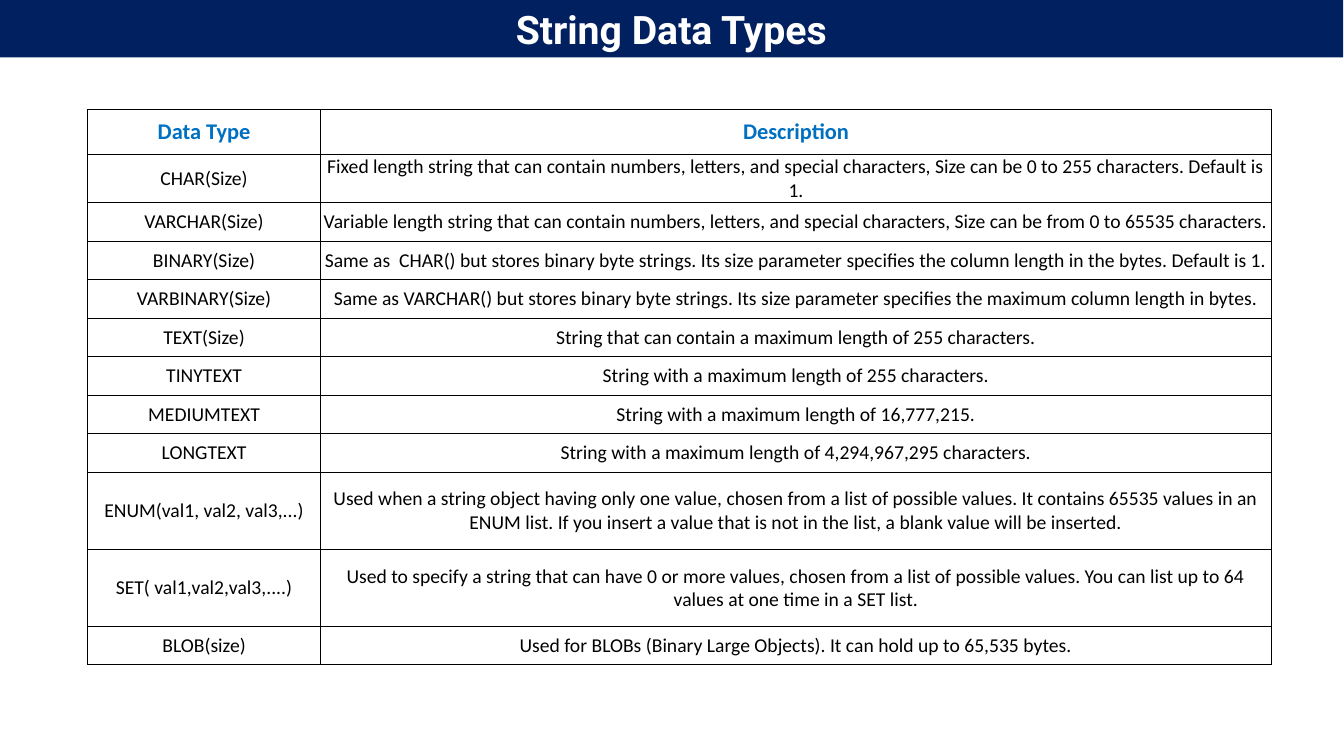
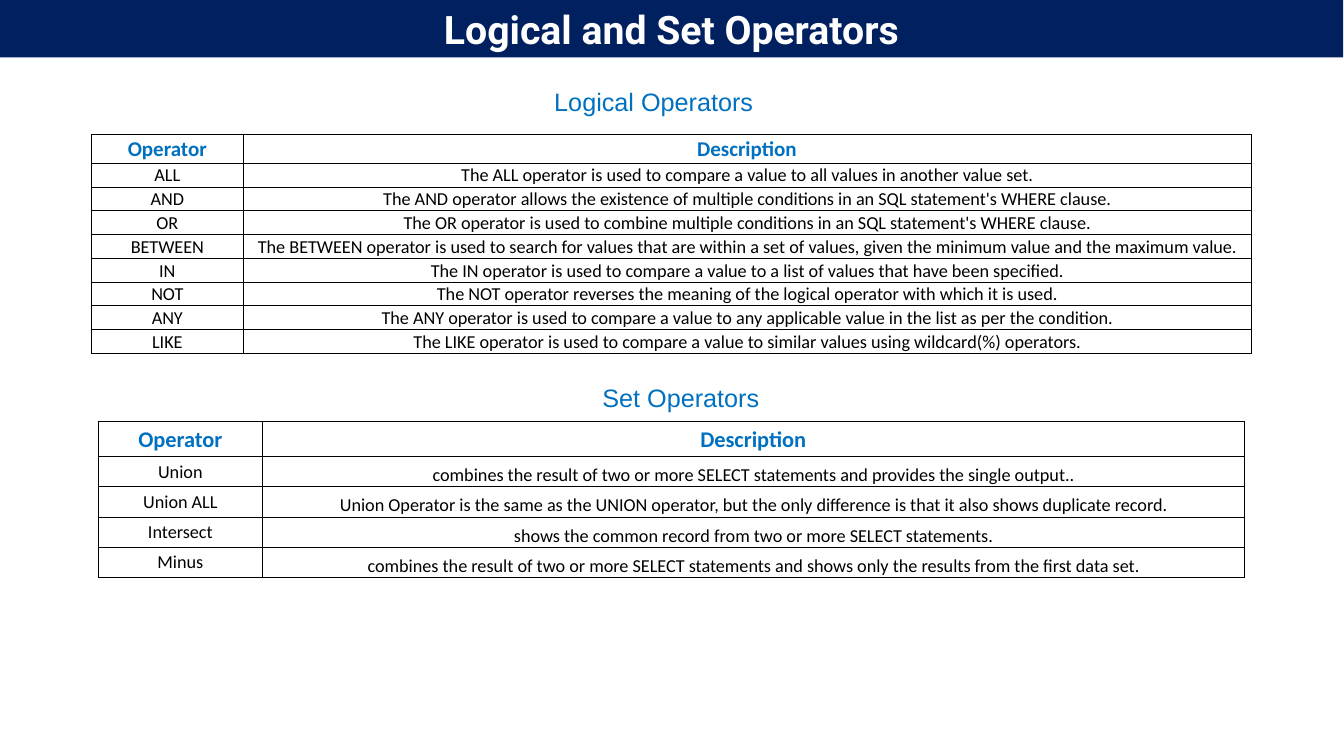
from lxml import etree
from pptx import Presentation
from pptx.dml.color import RGBColor
from pptx.enum.shapes import MSO_SHAPE
from pptx.enum.text import MSO_ANCHOR, MSO_AUTO_SIZE, PP_ALIGN
from pptx.oxml.ns import qn
from pptx.util import Pt

NAVY, BLUE, BLACK, WHITE = "002060", "0070C0", "000000", "FFFFFF"
TITLE_FONT, HEADING_FONT, TABLE_FONT = "Roboto", "Arial", "Calibri"
SLIDE_W, SLIDE_H = 960, 540
BAND_BOX = (-0.5, 0, SLIDE_W, 41)
MIDDLE, BOTTOM = MSO_ANCHOR.MIDDLE, MSO_ANCHOR.BOTTOM
CENTER = PP_ALIGN.CENTER
RECTANGLE = MSO_SHAPE.RECTANGLE
FIT_SHAPE = MSO_AUTO_SIZE.SHAPE_TO_FIT_TEXT

STRING_TYPES = [
    ("Data Type", "Description"),
    ("CHAR(Size)", "Fixed length string that can contain numbers, letters, and special characters, "
     "Size can be 0 to 255 characters. Default is 1."),
    ("VARCHAR(Size)", "Variable length string that can contain numbers, letters, and special characters, "
     "Size can be from 0 to 65535 characters."),
    ("BINARY(Size)", "Same as  CHAR() but stores binary byte strings. Its size parameter specifies "
     "the column length in the bytes. Default is 1."),
    ("VARBINARY(Size)", "Same as VARCHAR() but stores binary byte strings. Its size parameter specifies "
     "the maximum column length in bytes."),
    ("TEXT(Size)", "String that can contain a maximum length of 255 characters."),
    ("TINYTEXT", "String with a maximum length of 255 characters."),
    ("MEDIUMTEXT", "String with a maximum length of 16,777,215."),
    ("LONGTEXT", "String with a maximum length of 4,294,967,295 characters."),
    ("ENUM(val1, val2, val3,...)", "Used when a string object having only one value, chosen from a list of "
     "possible values. It contains 65535 values in an ENUM list. If you insert a value that is not in the "
     "list, a blank value will be inserted."),
    ("SET( val1,val2,val3,....)", "Used to specify a string that can have 0 or more values, chosen from a "
     "list of possible values. You can list up to 64 values at one time in a SET list."),
    ("BLOB(size)", "Used for BLOBs (Binary Large Objects). It can hold up to 65,535 bytes."),
]
LOGICAL_OPERATORS = [
    ("Operator", "Description"),
    ("ALL", "The ALL operator is used to compare a value to all values in another value set."),
    ("AND", "The AND operator allows the existence of multiple conditions in an SQL statement's WHERE clause."),
    ("OR", "The OR operator is used to combine multiple conditions in an SQL statement's WHERE clause."),
    ("BETWEEN", "The BETWEEN operator is used to search for values that are within a set of values, "
     "given the minimum value and the maximum value."),
    ("IN", "The IN operator is used to compare a value to a list of values that have been specified."),
    ("NOT", "The NOT operator reverses the meaning of the logical operator with which it is used."),
    ("ANY", "The ANY operator is used to compare a value to any applicable value in the list as per the condition."),
    ("LIKE", "The LIKE operator is used to compare a value to similar values using wildcard(%) operators."),
]
SET_OPERATORS = [
    ("Operator", "Description"),
    ("Union", "combines the result of two or more SELECT statements and provides the single output.."),
    ("Union ALL", "Union Operator is the same as the UNION operator, but the only difference is that "
     "it also shows duplicate record."),
    ("Intersect", "shows the common record from two or more SELECT statements."),
    ("Minus", "combines the result of two or more SELECT statements and shows only the results "
     "from the first data set."),
]


def rgb(value):
    return RGBColor.from_string(value)


def write(tf, text, font, size, color, bold=False, align=None):
    p = tf.paragraphs[0]
    p.text = text
    p.alignment = align
    p.font.name, p.font.size, p.font.bold = font, Pt(size), bold
    p.font.color.rgb = rgb(color)


def add_titled_slide(prs, title):
    slide = prs.slides.add_slide(prs.slide_layouts[6])
    sp = slide.shapes.add_shape(RECTANGLE, *map(Pt, BAND_BOX))
    sp.shadow.inherit = False
    sp.fill.solid()
    sp.fill.fore_color.rgb = rgb(NAVY)
    sp.line.fill.background()
    tf = sp.text_frame
    tf.word_wrap = True
    tf.auto_size = FIT_SHAPE
    tf.vertical_anchor = MIDDLE
    write(tf, title, TITLE_FONT, 28, WHITE, True, CENTER)
    return slide


def add_heading(slide, box, text):
    tf = slide.shapes.add_textbox(*map(Pt, box)).text_frame
    tf.word_wrap = True
    tf.auto_size = FIT_SHAPE
    write(tf, text, HEADING_FONT, 18, BLUE)


def set_borders(cell, color=BLACK, width=0.5):
    tcPr = cell._tc.get_or_add_tcPr()
    for side in ("a:lnL", "a:lnR", "a:lnT", "a:lnB"):
        ln = etree.SubElement(tcPr, qn(side), w=str(int(Pt(width))))
        fill = etree.SubElement(ln, qn("a:solidFill"))
        etree.SubElement(fill, qn("a:srgbClr"), val=color)


def add_grid(slide, origin, widths, heights, rows, sizes, anchors=(MIDDLE, MIDDLE)):
    """Add a ruled table; sizes are for header and body, anchors for each body column."""
    box = (*origin, sum(widths), sum(heights))
    table = slide.shapes.add_table(len(rows), len(widths), *map(Pt, box)).table
    table.first_row = table.horz_banding = False
    for column, width in zip(table.columns, widths):
        column.width = Pt(width)
    for i, (height, texts) in enumerate(zip(heights, rows)):
        table.rows[i].height = Pt(height)
        header = i == 0
        for j, text in enumerate(texts):
            cell = table.cell(i, j)
            cell.margin_left = cell.margin_right = cell.margin_top = Pt(0.7)
            cell.margin_bottom = 0
            cell.vertical_anchor = MIDDLE if header else anchors[j]
            set_borders(cell)
            cell.fill.background()
            write(cell.text_frame, text, TABLE_FONT, sizes[0] if header else sizes[1],
                  BLUE if header else BLACK, header, CENTER)


def build_string_types(prs):
    slide = add_titled_slide(prs, "String Data Types")
    row = 27.55
    heights = [32.2] + [row] * 8 + [2 * row] * 2 + [row]
    add_grid(slide, (62.6, 78), (166.4, 679.2), heights, STRING_TYPES, (16, 14))


def build_operators(prs):
    slide = add_titled_slide(prs, "Logical and Set Operators")
    add_grid(slide, (70.5, 301), (116.6, 702), [25.2] + [21.5] * 4, SET_OPERATORS,
             (16, 13), (MIDDLE, BOTTOM))
    add_heading(slide, (388.8, 58.3, 182, 29), "Logical Operators")
    add_heading(slide, (423.2, 269.3, 129, 29), "Set Operators")
    add_grid(slide, (65.5, 96.3), (108, 720), [20.2] + [17] * 8, LOGICAL_OPERATORS,
             (15, 13), (BOTTOM, BOTTOM))


def main():
    prs = Presentation()
    prs.slide_width, prs.slide_height = Pt(SLIDE_W), Pt(SLIDE_H)
    build_string_types(prs)
    build_operators(prs)
    prs.save("out.pptx")


if __name__ == "__main__":
    main()
